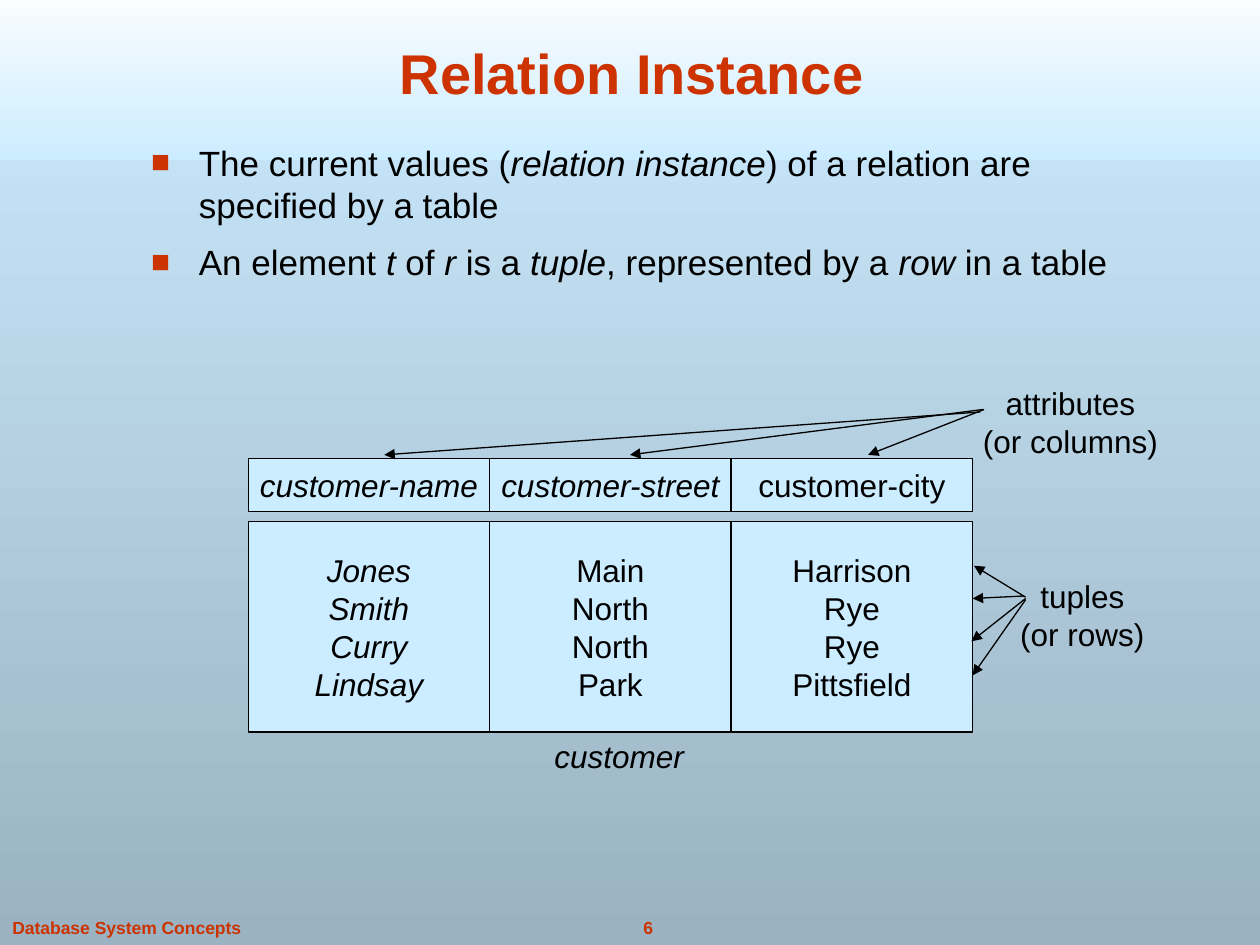
from dataclasses import dataclass

from lxml.etree import SubElement
from pptx import Presentation
from pptx.dml.color import RGBColor
from pptx.enum.shapes import MSO_CONNECTOR, MSO_SHAPE
from pptx.enum.text import MSO_ANCHOR, MSO_AUTO_SIZE, PP_ALIGN
from pptx.oxml.ns import qn
from pptx.util import Inches, Pt


@dataclass(frozen=True)
class Theme:
    font: str = "Arial"
    accent: str = "CC3300"
    ink: str = "000000"
    white: str = "FFFFFF"
    sky: str = "CCECFF"
    slate: str = "9AB2C1"
    title_size: int = 32
    body_size: int = 20
    label_size: int = 18
    footer_size: int = 10
    line_width: float = 0.75


THEME = Theme()

BULLETS = [
    [("The current values (", False), ("relation instance", True),
     (") of a relation are specified by a table", False)],
    [("An element ", False), ("t", True), (" of ", False), ("r", True),
     (" is a ", False), ("tuple", True), (", represented by a ", False),
     ("row ", True), ("in a table", False)],
]

COLUMNS = [
    ("customer-name", True, ["Jones", "Smith", "Curry", "Lindsay"], True),
    ("customer-street", True, ["Main", "North", "North", "Park"], False),
    ("customer-city", False, ["Harrison", "Rye", "Rye", "Pittsfield"], False),
]

ATTRIBUTE_ARROWS = [
    ((7.78, 3.27), (3.05, 3.61)),
    ((7.8, 3.25), (5, 3.61)),
    ((7.81, 3.25), (6.89, 3.61)),
]
TUPLE_ARROWS = [
    ((8.14, 4.74), (7.73, 4.49)),
    ((8.13, 4.73), (7.72, 4.75)),
    ((8.14, 4.75), (7.71, 5.09)),
    ((8.14, 4.76), (7.72, 5.36)),
]


def style_font(font, size, color=THEME.ink, bold=False):
    font.name = THEME.font
    font.size = Pt(size)
    font.bold = bold
    font.color.rgb = RGBColor.from_string(color)


def fill_gradient(fill, top_color, bottom_color):
    fill.gradient()
    fill.gradient_angle = 270
    for stop, color in zip(fill.gradient_stops, (top_color, bottom_color)):
        stop.color.rgb = RGBColor.from_string(color)


def add_rectangle(slide, box):
    shape = slide.shapes.add_shape(MSO_SHAPE.RECTANGLE, *map(Inches, box))
    shape.shadow.inherit = False
    return shape


def write_lines(shape, lines, size, color=THEME.ink, bold=False, italic=False,
                align=PP_ALIGN.CENTER, anchor=MSO_ANCHOR.TOP, wrap=False):
    frame = shape.text_frame
    frame.word_wrap = wrap
    frame.vertical_anchor = anchor
    frame.text = "\n".join(lines)
    for paragraph in frame.paragraphs:
        paragraph.alignment = align
        style_font(paragraph.font, size, color, bold)
        paragraph.font.italic = italic


def add_label(slide, box, lines, size=THEME.label_size, **style):
    shape = slide.shapes.add_textbox(*map(Inches, box))
    write_lines(shape, lines, size, **style)
    if not shape.text_frame.word_wrap:
        shape.text_frame.auto_size = MSO_AUTO_SIZE.SHAPE_TO_FIT_TEXT


def add_backdrop(slide, box):
    fill_gradient(slide.background.fill, THEME.sky, THEME.slate)
    band = add_rectangle(slide, box)
    fill_gradient(band.fill, THEME.white, THEME.sky)
    band.line.fill.background()


def add_footer(slide, box):
    left, top, width, height = box
    style = dict(size=THEME.footer_size, color=THEME.accent, bold=True)
    add_label(slide, (left + 4.71, top, 0.87, height), ["6"], **style)
    add_label(slide, (left, top, 2.1, height), ["Database System Concepts"],
              align=PP_ALIGN.LEFT, **style)


def add_square_bullet(paragraph):
    properties = paragraph._p.get_or_add_pPr()
    properties.set("marL", str(Inches(0.38)))
    properties.set("indent", str(-Inches(0.38)))
    color = SubElement(properties, qn("a:buClr"))
    SubElement(color, qn("a:srgbClr"), val=THEME.accent)
    SubElement(properties, qn("a:buSzPct"), val="90000")
    SubElement(properties, qn("a:buFont"), typeface=THEME.font)
    SubElement(properties, qn("a:buChar"), char="■")


def add_body(slide, box):
    frame = slide.shapes.add_textbox(*map(Inches, box)).text_frame
    frame.word_wrap = True
    for index, pieces in enumerate(BULLETS):
        paragraph = frame.add_paragraph() if index else frame.paragraphs[0]
        add_square_bullet(paragraph)
        if index:
            paragraph.space_before = Pt(8.8)
        style_font(paragraph.font, THEME.body_size)
        for text, italic in pieces:
            run = paragraph.add_run()
            run.text = text
            run.font.italic = italic


def add_cell(slide, box, lines, italic):
    cell = add_rectangle(slide, box)
    cell.fill.solid()
    cell.fill.fore_color.rgb = RGBColor.from_string(THEME.sky)
    cell.line.color.rgb = RGBColor.from_string(THEME.ink)
    cell.line.width = Pt(THEME.line_width)
    write_lines(cell, lines, THEME.label_size, italic=italic,
                anchor=MSO_ANCHOR.MIDDLE)


def add_relation(slide, box):
    left, top, width, height = box
    column_width = width / len(COLUMNS)
    header_height, rows_offset = 0.42, 0.5
    for index, (name, name_italic, values, values_italic) in enumerate(COLUMNS):
        x = left + index * column_width
        add_cell(slide, (x, top + rows_offset, column_width, height - rows_offset),
                 values, values_italic)
        add_cell(slide, (x, top, column_width, header_height), [name], name_italic)
    add_label(slide, (left + 2.33, top + height - 0.01, 1.23, 0.4), ["customer"],
              italic=True, anchor=MSO_ANCHOR.MIDDLE)


def add_arrow(slide, start, end):
    arrow = slide.shapes.add_connector(
        MSO_CONNECTOR.STRAIGHT, *map(Inches, (*start, *end)))
    arrow.line.color.rgb = RGBColor.from_string(THEME.ink)
    arrow.line.width = Pt(THEME.line_width)
    SubElement(arrow.line._get_or_add_ln(), qn("a:tailEnd"), type="triangle")
    SubElement(arrow._element.spPr, qn("a:effectLst"))


def add_callout(slide, box, lines, arrows):
    add_label(slide, box, lines)
    for start, end in arrows:
        add_arrow(slide, start, end)


def main():
    presentation = Presentation()
    presentation.slide_width = Inches(10)
    presentation.slide_height = Inches(7.5)
    slide = presentation.slides.add_slide(presentation.slide_layouts[6])
    add_backdrop(slide, (0, -0.17, 10, 1.44))
    add_footer(slide, (0, 7.23, 10, 0.27))
    add_label(slide, (0.6, 0.22, 8.83, 0.67), ["Relation Instance"],
              THEME.title_size, color=THEME.accent, bold=True,
              anchor=MSO_ANCHOR.BOTTOM, wrap=True)
    add_body(slide, (1.1, 1.07, 8.29, 2.15))
    add_relation(slide, (1.97, 3.64, 5.75, 2.17))
    add_callout(slide, (7.7, 3, 1.59, 0.7), ["attributes", "(or columns)"],
                ATTRIBUTE_ARROWS)
    add_callout(slide, (7.97, 4.53, 1.24, 0.7), ["tuples", "(or rows)"],
                TUPLE_ARROWS)
    presentation.save("out.pptx")


if __name__ == "__main__":
    main()
